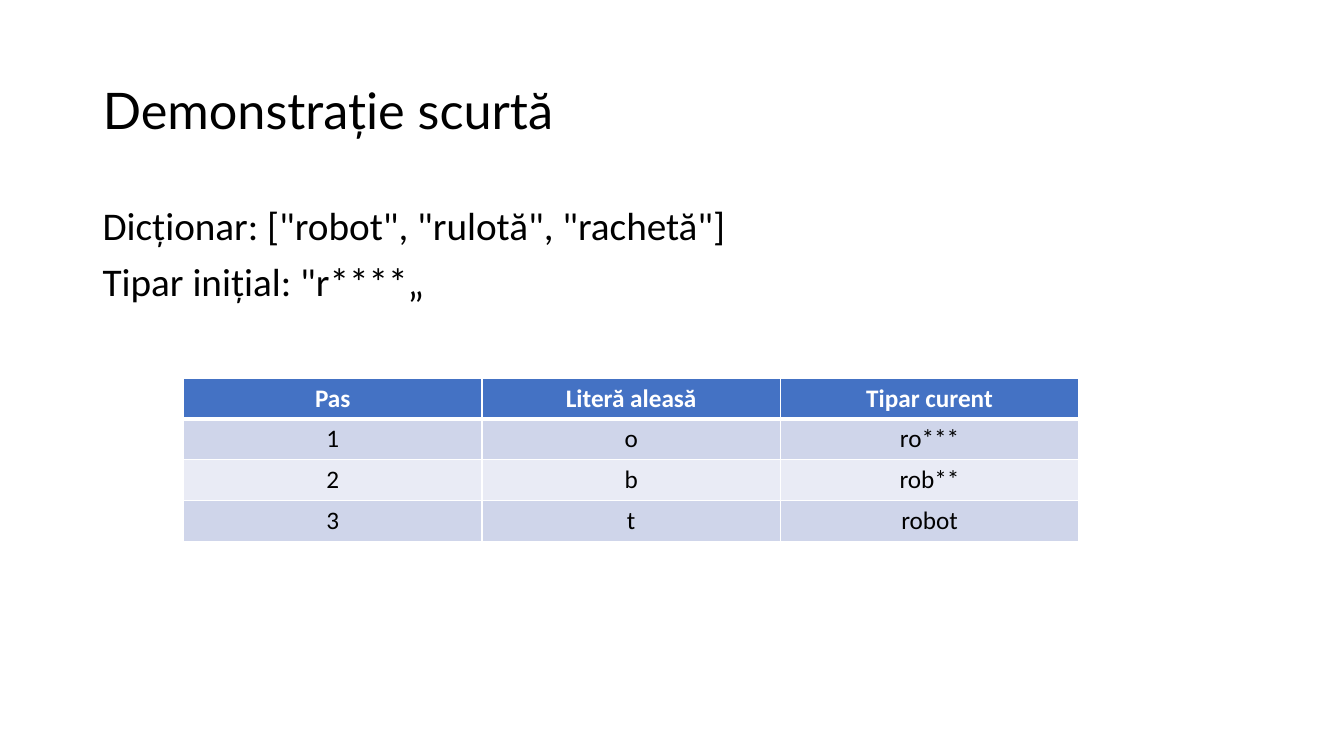
from dataclasses import dataclass

from lxml import etree
from pptx import Presentation
from pptx.dml.color import RGBColor
from pptx.enum.text import MSO_ANCHOR, MSO_AUTO_SIZE, PP_ALIGN
from pptx.oxml.ns import qn
from pptx.slide import Slide
from pptx.table import _Cell
from pptx.text.text import TextFrame
from pptx.util import Inches, Pt

LEFT = PP_ALIGN.LEFT
CENTER = PP_ALIGN.CENTER
TOP = MSO_ANCHOR.TOP
MIDDLE = MSO_ANCHOR.MIDDLE
NO_AUTOFIT = MSO_AUTO_SIZE.NONE
TITLE_ONLY_LAYOUT = 5


@dataclass(frozen=True)
class Theme:
    """Colours, fonts and type sizes of the slide."""

    title_font: str = "Lato"
    body_font: str = "Calibri"
    title_size: int = 36
    body_size: int = 28
    table_size: int = 18
    text: str = "000000"
    white: str = "FFFFFF"
    header: str = "4472C4"
    bands: tuple[str, str] = ("CFD5EA", "E9EBF5")
    thin_border: int = 1
    header_border: int = 3


@dataclass(frozen=True)
class Box:
    """Position and size in inches."""

    left: float
    top: float
    width: float
    height: float


@dataclass(frozen=True)
class Step:
    """One row of the demonstration table."""

    number: str
    letter: str
    pattern: str


THEME = Theme()
TITLE_BOX = Box(0.92, 0.4, 11.5, 1.45)
BODY_BOX = Box(0.92, 2, 11.5, 4.76)
TABLE_BOX = Box(1.82, 3.75, 8.88, 1.62)
TITLE = "Demonstrație scurtă"
BODY_LINES = ['Dicționar: ["robot", "rulotă", "rachetă"]', 'Tipar inițial: "r****„']
STEPS = [
    Step("Pas", "Literă aleasă", "Tipar curent"),
    Step("1", "o", "ro***"),
    Step("2", "b", "rob**"),
    Step("3", "t", "robot"),
]


def write_text(
    frame: TextFrame,
    lines: list[str],
    *,
    size: int,
    font: str = THEME.body_font,
    color: str = THEME.text,
    bold: bool = False,
    align: PP_ALIGN = LEFT,
    line_spacing: float = 1.0,
    space_before: int = 0,
) -> None:
    """Fill a text frame with equally formatted paragraphs."""
    for index, line in enumerate(lines):
        paragraph = frame.add_paragraph() if index else frame.paragraphs[0]
        paragraph.alignment = align
        paragraph.line_spacing = line_spacing
        paragraph.space_before = Pt(space_before)
        run = paragraph.add_run()
        run.text = line
        run.font.name = font
        run.font.size = Pt(size)
        run.font.bold = bold
        run.font.color.rgb = RGBColor.from_string(color)


def add_title(slide: Slide, box: Box) -> None:
    """Place and format the title placeholder."""
    title = slide.shapes.title
    title.left, title.top = Inches(box.left), Inches(box.top)
    title.width, title.height = Inches(box.width), Inches(box.height)
    frame = title.text_frame
    frame.auto_size = NO_AUTOFIT
    frame.vertical_anchor = MIDDLE
    write_text(frame, [TITLE], size=THEME.title_size, font=THEME.title_font, line_spacing=0.9)


def add_body(slide: Slide, box: Box) -> None:
    """Add the dictionary and the initial pattern."""
    body = slide.shapes.add_textbox(
        Inches(box.left), Inches(box.top), Inches(box.width), Inches(box.height)
    )
    frame = body.text_frame
    frame.word_wrap = True
    frame.vertical_anchor = TOP
    write_text(frame, BODY_LINES, size=THEME.body_size, line_spacing=0.9, space_before=10)


def set_borders(cell: _Cell, top: int, bottom: int) -> None:
    """Draw white borders with the given top and bottom widths in points."""
    properties = cell._tc.get_or_add_tcPr()
    widths = {"L": THEME.thin_border, "R": THEME.thin_border, "T": top, "B": bottom}
    for side, width in widths.items():
        line = etree.SubElement(properties, qn(f"a:ln{side}"), w=str(Pt(width)))
        fill = etree.SubElement(line, qn("a:solidFill"))
        etree.SubElement(fill, qn("a:srgbClr"), val=THEME.white)


def add_steps_table(slide: Slide, box: Box, steps: list[Step]) -> None:
    """Add the table of steps with a header and alternating bands."""
    table = slide.shapes.add_table(
        len(steps), 3, Inches(box.left), Inches(box.top), Inches(box.width), Inches(box.height)
    ).table
    for row, step in enumerate(steps):
        is_header = row == 0
        fill = THEME.header if is_header else THEME.bands[(row - 1) % 2]
        for column, text in enumerate((step.number, step.letter, step.pattern)):
            cell = table.cell(row, column)
            set_borders(
                cell,
                top=THEME.header_border if row == 1 else THEME.thin_border,
                bottom=THEME.header_border if is_header else THEME.thin_border,
            )
            cell.fill.solid()
            cell.fill.fore_color.rgb = RGBColor.from_string(fill)
            write_text(
                cell.text_frame,
                [text],
                size=THEME.table_size,
                color=THEME.white if is_header else THEME.text,
                bold=is_header,
                align=CENTER,
            )


def main() -> None:
    """Build and save the presentation."""
    presentation = Presentation()
    presentation.slide_width = Inches(13.33)
    presentation.slide_height = Inches(7.5)
    slide = presentation.slides.add_slide(presentation.slide_layouts[TITLE_ONLY_LAYOUT])
    add_title(slide, TITLE_BOX)
    add_body(slide, BODY_BOX)
    add_steps_table(slide, TABLE_BOX, STEPS)
    presentation.save("out.pptx")


if __name__ == "__main__":
    main()
